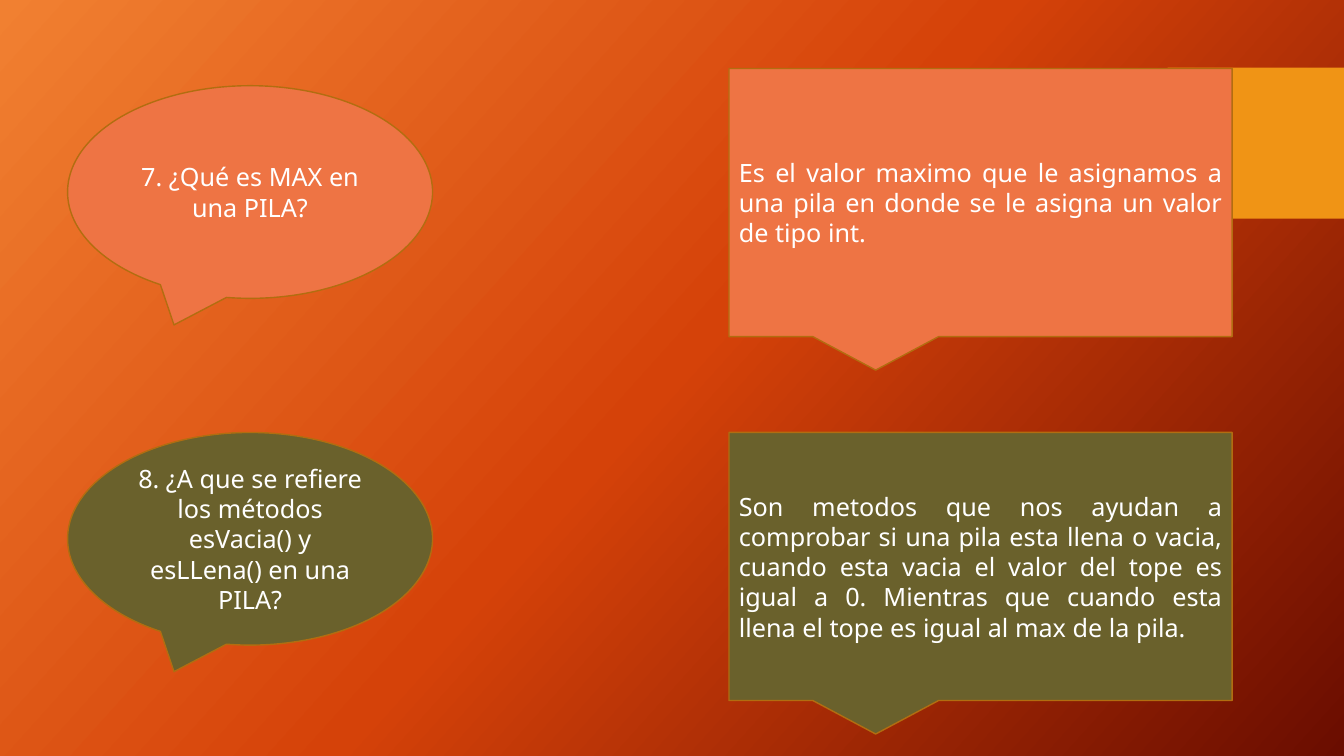
from copy import deepcopy

from pptx import Presentation
from pptx import util as u
from pptx.dml.color import RGBColor
from pptx.enum import shapes, text
from pptx.oxml import ns

COLORS = {
    "light": "F18031",
    "middle": "D54209",
    "dark": "6A0D00",
    "tab": "F09415",
    "coral": "EE7444",
    "olive": "6A612C",
    "outline": "B26D10",
    "text": "FFFFFF",
}


def color(name):
    return RGBColor.from_string(COLORS[name])


def write_text(shape, content, align, size=18, font="Noto Sans", ink="text", pitch=21.6):
    frame = shape.text_frame
    frame.word_wrap = True
    frame.vertical_anchor = text.MSO_ANCHOR.MIDDLE
    paragraph = frame.paragraphs[0]
    paragraph.alignment = align
    paragraph.line_spacing = u.Pt(pitch)
    run = paragraph.add_run()
    run.text = content
    run.font.size = u.Pt(size)
    run.font.name = font
    run.font.color.rgb = color(ink)


presentation = Presentation()
presentation.slide_width = u.Inches(13.33)
presentation.slide_height = u.Inches(7.5)
slide = presentation.slides.add_slide(presentation.slide_layouts[6])

background = slide.background.fill
background.gradient()
background.gradient_angle = 360 - 42
stop_list = slide.element.find(".//" + ns.qn("a:gsLst"))
stop_list.insert(1, deepcopy(stop_list[0]))
for stop, position, name in zip(background.gradient_stops, (0, 0.5, 1), ("light", "middle", "dark")):
    stop.position = position
    stop.color.rgb = color(name)

tab = slide.shapes.add_shape(
    shapes.MSO_SHAPE.RECTANGLE, u.Inches(11.58), u.Inches(0.67), u.Inches(1.75), u.Inches(1.5)
)
tab.shadow.inherit = False
tab.fill.solid()
tab.fill.fore_color.rgb = color("tab")
tab.line.fill.background()

question = (shapes.MSO_SHAPE.OVAL_CALLOUT, 0.67, 3.62, 2.11, text.PP_ALIGN.CENTER)
answer = (shapes.MSO_SHAPE.RECTANGULAR_CALLOUT, 7.23, 4.99, 2.66, text.PP_ALIGN.JUSTIFY)
callouts = [
    (question, 0.85, "coral", "7. ¿Qué es MAX en una PILA?"),
    (question, 4.29, "olive", "8. ¿A que se refiere los métodos esVacia() y esLLena() en una PILA?"),
    (answer, 0.68, "coral",
     "Es el valor maximo que le asignamos a una pila en donde se le asigna un valor de tipo int."),
    (answer, 4.29, "olive",
     "Son metodos que nos ayudan a comprobar si una pila esta llena o vacia, cuando esta vacia "
     "el valor del tope es igual a 0. Mientras que cuando esta llena el tope es igual al max de la pila."),
]
for (kind, left, width, height, align), top, fill, content in callouts:
    callout = slide.shapes.add_shape(
        kind, u.Inches(left), u.Inches(top), u.Inches(width), u.Inches(height)
    )
    callout.shadow.inherit = False
    callout.fill.solid()
    callout.fill.fore_color.rgb = color(fill)
    callout.line.color.rgb = color("outline")
    callout.line.width = u.Pt(1)
    write_text(callout, content, align)

presentation.save("out.pptx")
